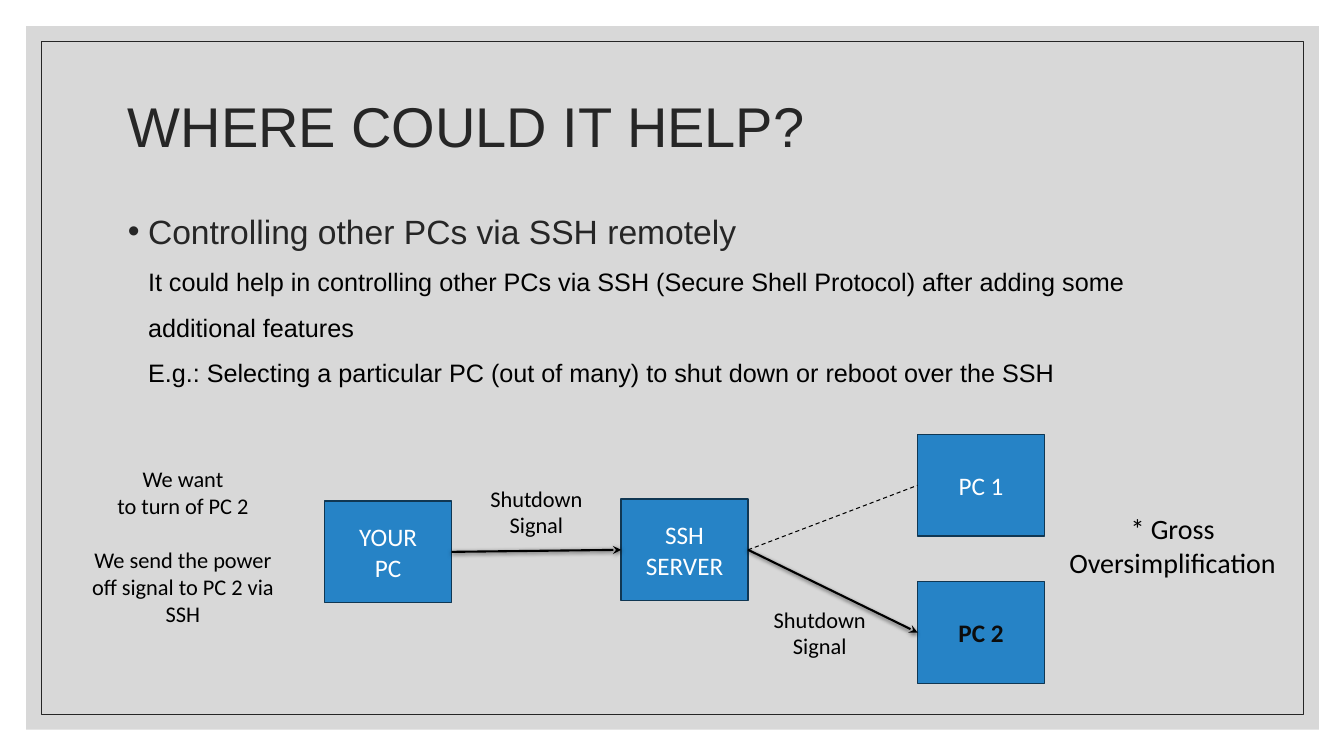
from dataclasses import dataclass

import pptx
import pptx.dml.color
import pptx.enum.dml
import pptx.enum.shapes
import pptx.enum.text
import pptx.oxml
import pptx.oxml.ns
import pptx.util
from pptx.util import Inches

ALIGN = pptx.enum.text.PP_ALIGN
ANCHOR = pptx.enum.text.MSO_ANCHOR
RECTANGLE = pptx.enum.shapes.MSO_SHAPE.RECTANGLE
LEFT_SITE, RIGHT_SITE = 1, 3


@dataclass(frozen=True)
class Theme:
    panel: str = "BFBFBF"
    panel_opacity: int = 60
    ink: str = "262626"
    black: str = "000000"
    node: str = "2683C6"
    node_line: str = "103753"
    node_text: str = "FFFFFF"
    target_text: str = "0C0C0C"
    text_font: str = "Arial"
    diagram_font: str = "Calibri"
    title_size: int = 40
    topic_size: int = 24
    detail_size: int = 18
    node_size: int = 18
    label_size: int = 16
    remark_size: int = 20


THEME = Theme()


@dataclass(frozen=True)
class Box:
    left: float
    top: float
    width: float
    height: float

    def within(self, left, top, width, height):
        """Box at an offset from this box's corner."""
        return Box(self.left + left, self.top + top, width, height)

    def inset(self, gap):
        return self.within(gap, gap, self.width - 2 * gap, self.height - 2 * gap)

    def lengths(self):
        return [Inches(v) for v in (self.left, self.top, self.width, self.height)]


def rgb(color):
    return pptx.dml.color.RGBColor.from_string(color)


def add_xml(parent, tag, content="", **attributes):
    settings = " ".join(f'{name}="{value}"' for name, value in attributes.items())
    namespace = pptx.oxml.ns.nsdecls("a")
    parent.append(pptx.oxml.parse_xml(
        f"<a:{tag} {namespace} {settings}>{content}</a:{tag}>"))


def set_font(font, name, size, color, bold=False):
    font.name, font.size, font.bold = name, pptx.util.Pt(size), bold
    font.color.rgb = rgb(color)


def add_rectangle(slide, box, fill=None, line=None, line_width=1):
    rectangle = slide.shapes.add_shape(RECTANGLE, *box.lengths())
    rectangle.shadow.inherit = False
    if fill:
        rectangle.fill.solid()
        rectangle.fill.fore_color.rgb = rgb(fill)
    else:
        rectangle.fill.background()
    if line:
        rectangle.line.color.rgb = rgb(line)
        rectangle.line.width = pptx.util.Pt(line_width)
    else:
        rectangle.line.fill.background()
    return rectangle


def add_text_frame(slide, box, anchor=ANCHOR.TOP):
    frame = slide.shapes.add_textbox(*box.lengths()).text_frame
    frame.word_wrap = True
    frame.vertical_anchor = anchor
    return frame


def write_centred(frame, text, size, color, bold=False):
    frame.text = text
    for paragraph in frame.paragraphs:
        paragraph.alignment = ALIGN.CENTER
        set_font(paragraph.font, THEME.diagram_font, size, color, bold)


def add_label(slide, box, text, size=THEME.label_size):
    write_centred(add_text_frame(slide, box), text, size, THEME.black)


def add_node(slide, box, text, color=THEME.node_text, bold=False):
    node = add_rectangle(slide, box, THEME.node, THEME.node_line)
    node.text_frame.vertical_anchor = ANCHOR.MIDDLE
    write_centred(node.text_frame, text, THEME.node_size, color, bold)
    return node


def add_link(slide, source, target, carries_signal):
    """Solid shadowed arrow for a signal, thin dashes for an idle link."""
    link = slide.shapes.add_connector(
        pptx.enum.shapes.MSO_CONNECTOR.STRAIGHT, 0, 0, 0, 0)
    link.begin_connect(source, RIGHT_SITE)
    link.end_connect(target, LEFT_SITE)
    link.line.color.rgb = rgb(THEME.black)
    link.line.width = pptx.util.Pt(1.5 if carries_signal else 0.75)
    properties = link.element.spPr
    shadow = ""
    if carries_signal:
        add_xml(properties.find(pptx.oxml.ns.qn("a:ln")), "tailEnd", type="stealth")
        shadow = ('<a:outerShdw blurRad="38100" dist="12700" dir="5400000">'
                  f'<a:srgbClr val="{THEME.black}"><a:alpha val="63000"/>'
                  '</a:srgbClr></a:outerShdw>')
    else:
        link.line.dash_style = pptx.enum.dml.MSO_LINE.DASH
    add_xml(properties, "effectLst", shadow)


def draw_frame(slide, box):
    panel = add_rectangle(slide, box, THEME.panel)
    panel_color = panel.element.spPr.find(".//" + pptx.oxml.ns.qn("a:srgbClr"))
    add_xml(panel_color, "alpha", val=THEME.panel_opacity * 1000)
    add_rectangle(slide, box.inset(0.15), line=THEME.ink, line_width=0.75)


def draw_title(slide, box):
    title = add_text_frame(slide, box, ANCHOR.MIDDLE).paragraphs[0]
    title.text = "WHERE COULD IT HELP?"
    title.line_spacing = 0.9
    set_font(title.font, THEME.text_font, THEME.title_size, THEME.ink)


def draw_topic(slide, box):
    """One bullet whose details follow on new lines."""
    topic = add_text_frame(slide, box, ANCHOR.MIDDLE).paragraphs[0]
    topic.line_spacing = 1.5
    lines = (
        ("Controlling other PCs via SSH remotely", THEME.topic_size, THEME.ink),
        ("It could help in controlling other PCs via SSH (Secure Shell Protocol) "
         "after adding some additional features", THEME.detail_size, THEME.black),
        ("E.g.: Selecting a particular PC (out of many) to shut down or reboot "
         "over the SSH", THEME.detail_size, THEME.black),
    )
    for number, (text, size, color) in enumerate(lines):
        if number:
            topic.add_line_break()
        run = topic.add_run()
        run.text = text
        set_font(run.font, THEME.text_font, size, color)
    properties = topic._p.get_or_add_pPr()
    indent = Inches(0.2)
    properties.set("marL", str(indent))
    properties.set("indent", str(-indent))
    add_xml(properties, "buClr", f'<a:srgbClr val="{THEME.ink}"/>')
    add_xml(properties, "buFont", typeface=THEME.text_font)
    add_xml(properties, "buChar", char="•")


def draw_diagram(slide, box):
    def node_box(left, top):
        return box.within(left, top, 1.26, 1.01)

    server = add_node(slide, node_box(5.38, 0.64), "SSH\nSERVER")
    your_pc = add_node(slide, node_box(2.44, 0.66), "YOUR\nPC")
    pc_1 = add_node(slide, node_box(8.32, 0), "PC 1")
    pc_2 = add_node(slide, node_box(8.32, 1.46), "PC 2", THEME.target_text, bold=True)

    add_link(slide, your_pc, server, carries_signal=True)
    add_link(slide, server, pc_2, carries_signal=True)
    add_link(slide, server, pc_1, carries_signal=False)

    for left, top in ((3.83, 0.45), (6.64, 1.65)):
        add_label(slide, box.within(left, top, 1.42, 0.64), "Shutdown\nSignal")
    add_label(slide, box.within(0, 0.26, 2.07, 0.64), "We want\nto turn of PC 2")
    add_label(slide, box.within(0, 1.06, 2.07, 0.91),
              "We send the power off signal to PC 2 via SSH")
    add_label(slide, box.within(9.58, 0.72, 2.54, 0.77),
              "* Gross\nOversimplification", THEME.remark_size)


def main():
    deck = pptx.Presentation()
    deck.slide_width, deck.slide_height = Inches(13.33), Inches(7.5)
    slide = deck.slides.add_slide(deck.slide_layouts[6])
    draw_frame(slide, Box(0.26, 0.26, 12.82, 6.98))
    draw_title(slide, Box(1.17, 0.7, 11, 1.17))
    draw_topic(slide, Box(1.17, 1.65, 11, 2.44))
    draw_diagram(slide, Box(0.78, 4.31, 12.12, 2.47))
    deck.save("out.pptx")


if __name__ == "__main__":
    main()
